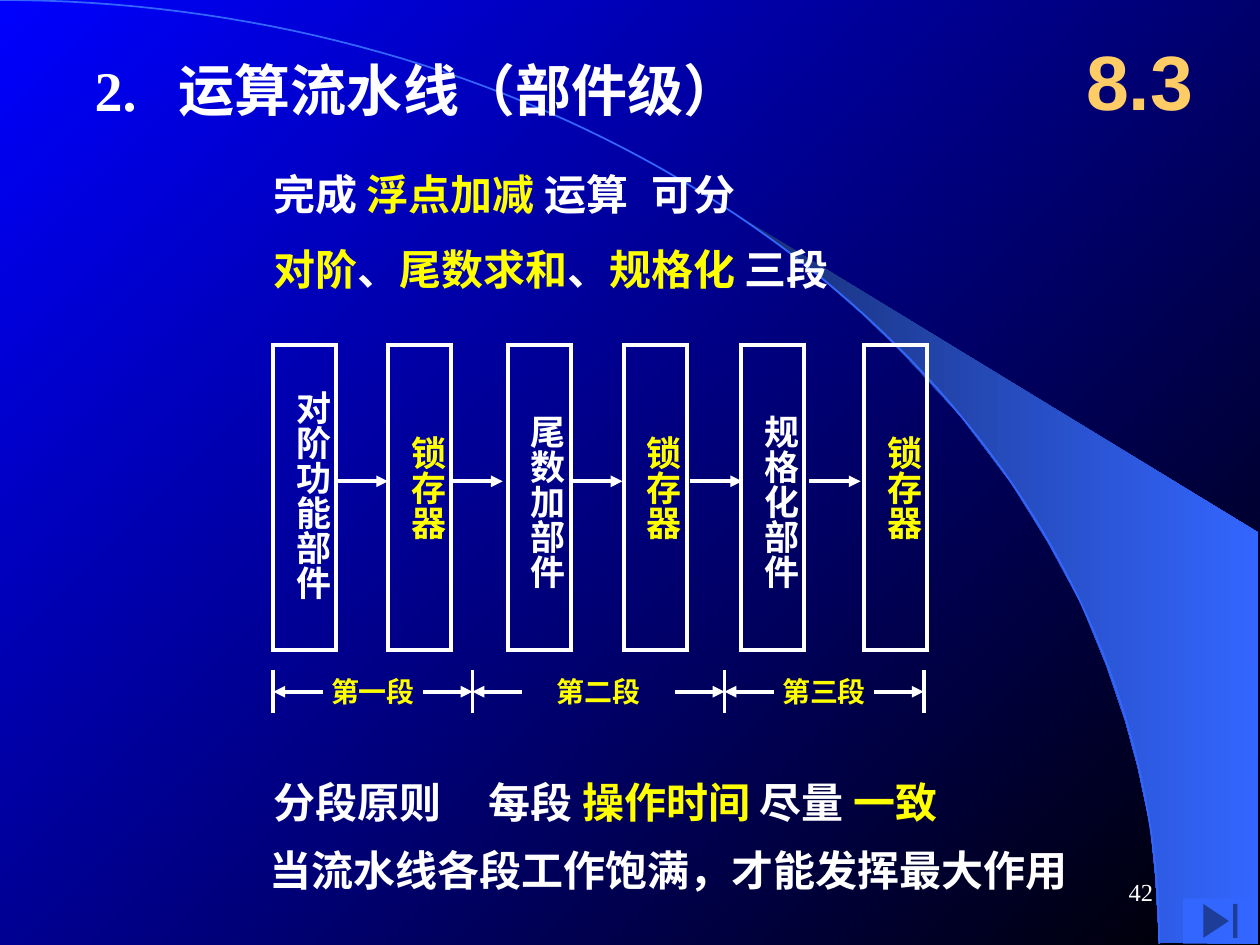
from math import cos, pi, sin

from lxml import etree
from pptx import Presentation
from pptx.dml.color import RGBColor
from pptx.enum.shapes import MSO_CONNECTOR, MSO_SHAPE
from pptx.enum.text import MSO_ANCHOR, MSO_AUTO_SIZE, PP_ALIGN
from pptx.oxml.ns import qn
from pptx.util import Inches, Pt

STRAIGHT = MSO_CONNECTOR.STRAIGHT
RECTANGLE = MSO_SHAPE.RECTANGLE
END_BUTTON = MSO_SHAPE.ACTION_BUTTON_END
TOP, MIDDLE = MSO_ANCHOR.TOP, MSO_ANCHOR.MIDDLE
LEFT, CENTER, RIGHT = PP_ALIGN.LEFT, PP_ALIGN.CENTER, PP_ALIGN.RIGHT
FIXED, GROW = MSO_AUTO_SIZE.NONE, MSO_AUTO_SIZE.SHAPE_TO_FIT_TEXT

WHITE, YELLOW, GOLD, BLUE = "FFFFFF", "FFFF00", "FFCC66", "3366FF"
SERIF, SANS = "Times New Roman", "Arial"

TITLE = [[("2.\t运算流水线（部件级）", WHITE)]]
INTRODUCTION = [
    [("完成 ", WHITE), ("浮点加减 ", YELLOW), ("运算\t可分", WHITE)],
    [("对阶", YELLOW), ("、", WHITE), ("尾数求和", YELLOW), ("、", WHITE),
     ("规格化 ", YELLOW), ("三段", WHITE)],
]
PRINCIPLE = [[("分段原则\t每段 ", WHITE), ("操作时间 ", YELLOW),
              ("尽量 ", WHITE), ("一致", YELLOW)]]
CONCLUSION = [[("当流水线各段工作饱满，才能发挥最大作用", WHITE)]]

BLOCKS = [
    ("对阶功能部件", WHITE, 2.17, 3),
    ("锁存器", YELLOW, 3.08, 3.36),
    ("尾数加部件", WHITE, 4.03, 3.19),
    ("锁存器", YELLOW, 4.95, 3.36),
    ("规格化部件", WHITE, 5.88, 3.19),
    ("锁存器", YELLOW, 6.86, 3.36),
]
FLOW_STARTS = [2.67, 3.58, 4.53, 5.48, 6.42]
STAGES = ["第一段", "第二段", "第三段"]
STAGE_EDGES = [2.17, 3.75, 5.75, 7.33]
WEDGE = [
    (9.2, 7.48), (9.99, 7.49), (9.99, 4.23), (5.89, 1.73), (6.24, 1.99),
    (6.53, 2.22), (6.85, 2.5), (7.16, 2.8), (7.62, 3.3), (8.03, 3.84),
    (8.32, 4.31), (8.58, 4.79), (8.78, 5.28), (8.93, 5.72), (9.03, 6.09),
    (9.13, 6.56), (9.17, 6.96),
]
ARC_WIDTH, ARC_HEIGHT, ARC_STEPS = 9.2, 7.49, 80
BLOCK_TOP, BLOCK_WIDTH, BLOCK_HEIGHT = 2.74, 0.5, 2.42
FLOW_Y, FLOW_LENGTH = 3.82, 0.41
STAGE_Y, STAGE_ARROW, TICK_HALF = 5.49, 0.39, 0.17
LABEL_WIDTH, LABEL_HEIGHT = 1, 0.37

presentation = Presentation()
presentation.slide_width, presentation.slide_height = Inches(10), Inches(7.5)
slide = presentation.slides.add_slide(presentation.slide_layouts[1])
shapes = slide.shapes


def color(value):
    return RGBColor.from_string(value)


def set_gradient(fill, start, end, angle):
    fill.gradient()
    fill.gradient_angle = angle
    for stop, value in zip(fill.gradient_stops, (start, end)):
        stop.color.rgb = color(value)


def add_text(box, paragraphs, shape=None, size=24, font=SERIF, bold=True,
             align=LEFT, anchor=MIDDLE, margins=(0, 0.05), wrap=True,
             auto_size=FIXED, line_spacing=1, tab=None, vertical=False,
             reset_indent=False):
    area = [Inches(length) for length in box]
    if shape is None:
        shape = shapes.add_textbox(*area)
    shape.left, shape.top, shape.width, shape.height = area
    frame = shape.text_frame
    frame.word_wrap, frame.auto_size = wrap, auto_size
    frame.vertical_anchor = anchor
    frame.margin_left = frame.margin_right = Inches(margins[0])
    frame.margin_top = frame.margin_bottom = Inches(margins[1])
    if vertical:
        frame._txBody.bodyPr.set("vert", "eaVert")
    for index, runs in enumerate(paragraphs):
        paragraph = frame.add_paragraph() if index else frame.paragraphs[0]
        properties = paragraph._p.get_or_add_pPr()
        if reset_indent:
            properties.set("marL", "0")
            properties.set("indent", "0")
            etree.SubElement(properties, qn("a:buNone"))
        if tab:
            tabs = etree.SubElement(properties, qn("a:tabLst"))
            etree.SubElement(tabs, qn("a:tab"), pos=str(Inches(tab)), algn="l")
        paragraph.alignment = align
        paragraph.line_spacing = line_spacing
        paragraph.space_before = Pt(0)
        for text, value in runs:
            run = paragraph.add_run()
            run.text = text
            run.font.name, run.font.size, run.font.bold = font, Pt(size), bold
            run.font.color.rgb = color(value)


def add_line(start, end, arrow=False):
    line = shapes.add_connector(STRAIGHT, *[Inches(n) for n in (*start, *end)])
    line.line.color.rgb = color(WHITE)
    line.line.width = Pt(2.25)
    if arrow:
        etree.SubElement(line.line._get_or_add_ln(), qn("a:tailEnd"), type="triangle")
    etree.SubElement(line._element.spPr, qn("a:effectLst"))


def add_outline(points, close, depth):
    corners = [(Inches(x), Inches(y)) for x, y in points]
    builder = shapes.build_freeform(*corners[0], scale=1.0)
    builder.add_line_segments(corners[1:], close=close)
    shape = builder.convert_to_shape()
    shape.shadow.inherit = False
    shapes._spTree.insert(2 + depth, shape._element)
    return shape


set_gradient(slide.background.fill, "0000FF", "000000", 315)

wedge = add_outline(WEDGE, True, 0)
set_gradient(wedge.fill, "182F76", BLUE, 0)
wedge.line.fill.background()

angles = [step * pi / 2 / ARC_STEPS for step in range(ARC_STEPS + 1)]
arc = add_outline([(ARC_WIDTH * sin(angle), ARC_HEIGHT * (1 - cos(angle)))
                   for angle in angles], False, 1)
arc.fill.background()
arc.line.color.rgb = color(BLUE)
arc.line.width = Pt(1)

add_text((0.75, 0.42, 6, 0.58), TITLE, shape=shapes.title, size=32, tab=0.67)
add_text((2.17, 1.07, 7.08, 1.33), INTRODUCTION, shape=slide.placeholders[1],
         line_spacing=1.5, tab=2.97, reset_indent=True)
add_text((2.17, 6.07, 7, 0.58), PRINCIPLE, tab=1.71)
add_text((2.14, 6.61, 7, 0.58), CONCLUSION)
add_text((8.42, 0.17, 1.25, 0.92), [[("8.3", GOLD)]], size=44, font=SANS,
         align=CENTER, margins=(0.1, 0.05))
add_text((7.17, 6.83, 2.08, 0.5), [[("42", WHITE)]], size=14, bold=False,
         align=RIGHT, margins=(0.1, 0.05))

for text, value, left, text_top in BLOCKS:
    add_text((left, text_top, 0.53, 0.28 * len(text) + 0.1), [[(text, value)]],
             size=20, anchor=TOP, margins=(0.05, 0.1), wrap=False,
             auto_size=GROW, vertical=True)
    block = shapes.add_shape(RECTANGLE, Inches(left), Inches(BLOCK_TOP),
                             Inches(BLOCK_WIDTH), Inches(BLOCK_HEIGHT))
    block.shadow.inherit = False
    block.fill.background()
    block.line.color.rgb = color(WHITE)
    block.line.width = Pt(2.25)
    etree.SubElement(block.line._get_or_add_ln(), qn("a:miter"), lim="800000")

for x in FLOW_STARTS:
    add_line((x, FLOW_Y), (x + FLOW_LENGTH, FLOW_Y), arrow=True)

for x in STAGE_EDGES:
    add_line((x, STAGE_Y - TICK_HALF), (x, STAGE_Y + TICK_HALF))

for text, left, right in zip(STAGES, STAGE_EDGES, STAGE_EDGES[1:]):
    add_line((left + STAGE_ARROW, STAGE_Y), (left, STAGE_Y), arrow=True)
    add_line((right - STAGE_ARROW, STAGE_Y), (right, STAGE_Y), arrow=True)
    add_text(((left + right - LABEL_WIDTH) / 2, STAGE_Y - LABEL_HEIGHT / 2,
              LABEL_WIDTH, LABEL_HEIGHT), [[(text, YELLOW)]], size=16,
             align=CENTER, margins=(0, 0.05))

button = shapes.add_shape(END_BUTTON, Inches(9.39), Inches(7.13),
                          Inches(0.59), Inches(0.36))
button.shadow.inherit = False
button.fill.solid()
button.fill.fore_color.rgb = color(BLUE)
button.line.fill.background()

presentation.save("out.pptx")
